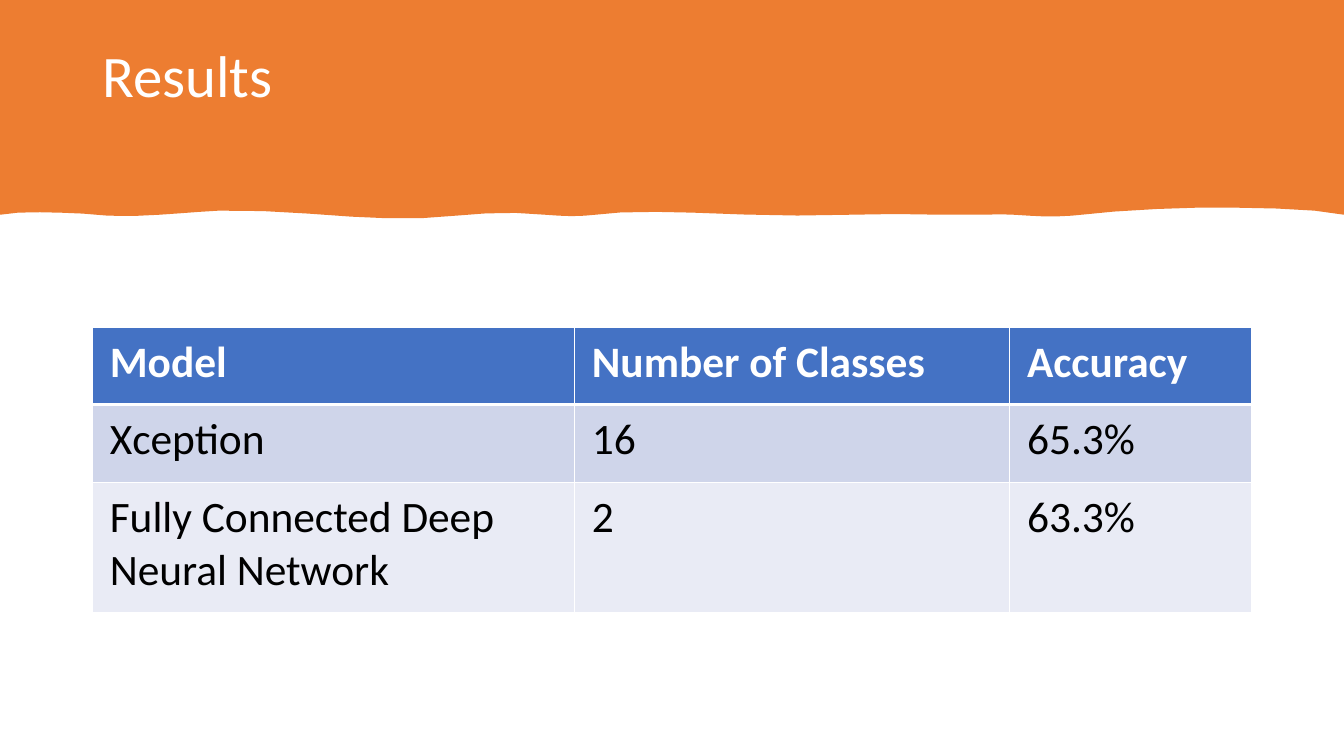
"""Build the Results slide with a wavy header band and a table of model accuracy."""
from lxml import etree
from pptx import Presentation
from pptx.dml.color import RGBColor
from pptx.enum.text import MSO_ANCHOR
from pptx.oxml.ns import qn
from pptx.util import Pt

TOP = MSO_ANCHOR.TOP
FONT = "Calibri"
WHITE, BLACK, ORANGE, BLUE = "FFFFFF", "000000", "ED7D31", "4472C4"
BAND_FILLS = ["CFD5EA", "E9EBF5"]
CURVE_STEPS = 3
UNITS_PER_POINT = 100


def color(value):
    return RGBColor.from_string(value)


def add_border(cell, side, width):
    line = etree.SubElement(cell._tc.get_or_add_tcPr(), qn(f"a:ln{side}"), w=str(Pt(width)))
    fill = etree.SubElement(line, qn("a:solidFill"))
    etree.SubElement(fill, qn("a:srgbClr"), val=WHITE)


presentation = Presentation()
presentation.slide_width = Pt(960)
presentation.slide_height = Pt(540)
slide = presentation.slides.add_slide(presentation.slide_layouts[6])

wave_start = (939, 150.5)
wave_curves = [
    [(911.5, 148.3), (884.2, 148.3), (856.8, 148.3)],
    [(826.6, 149), (795.6, 150.5), (765.4, 154.1)],
    [(755.3, 154.8), (745.2, 154.8), (735.1, 154.1)],
    [(725, 153.4), (714.2, 152.6), (703.4, 153.4)],
    [(671.8, 154.1), (639.4, 151.9), (607, 153.4)],
    [(569.5, 154.8), (532.1, 153.4), (494.6, 151.9)],
    [(468.7, 151.2), (443.5, 150.5), (417.6, 154.1)],
    [(408.2, 154.8), (398.9, 154.1), (389.5, 153.4)],
    [(368.6, 151.2), (347, 151.9), (325.4, 154.1)],
    [(301, 157), (276.5, 156.2), (251.3, 154.8)],
    [(219.6, 152.6), (187.9, 149.8), (156.2, 150.5)],
    [(141.8, 151.2), (127.4, 152.6), (113.8, 153.4)],
    [(95.8, 154.8), (77, 154.8), (59, 152.6)],
    [(43.9, 151.9), (28.8, 151.2), (13, 151.9)],
]
outline = [(960, 0), (960, 153.4), wave_start]
for first_control, second_control, end in wave_curves:
    controls = [outline[-1], first_control, second_control, end]
    for step in range(1, CURVE_STEPS + 1):
        t = step / CURVE_STEPS
        weights = [(1 - t) ** 3, 3 * t * (1 - t) ** 2, 3 * t ** 2 * (1 - t), t ** 3]
        outline.append(tuple(
            sum(weight * point[axis] for weight, point in zip(weights, controls))
            for axis in (0, 1)
        ))
outline.append((0, 153.4))

builder = slide.shapes.build_freeform(0, 0, scale=Pt(1) / UNITS_PER_POINT)
builder.add_line_segments([(x * UNITS_PER_POINT, y * UNITS_PER_POINT) for x, y in outline])
header_band = builder.convert_to_shape()
header_band.shadow.inherit = False
header_band.fill.solid()
header_band.fill.fore_color.rgb = color(ORANGE)
header_band.line.fill.background()

title = slide.shapes.add_textbox(Pt(66), Pt(28.8), Pt(828), Pt(104.4))
title.text_frame.word_wrap = True
title.text_frame.vertical_anchor = TOP
title.text_frame.margin_top = Pt(4.6)
paragraph = title.text_frame.paragraphs[0]
paragraph.text = "Results"
paragraph.line_spacing = 0.9
paragraph.font.name = FONT
paragraph.font.size = Pt(42)
paragraph.font.color.rgb = color(WHITE)

results = [
    ["Model", "Number of Classes", "Accuracy"],
    ["Xception", "16", "65.3%"],
    ["Fully Connected Deep Neural Network", "2", "63.3%"],
]
column_widths = [344.4, 310.8, 172.8]
row_heights = [55.4, 55.4, 93]
table = slide.shapes.add_table(
    len(results), len(column_widths), Pt(66), Pt(233.6),
    Pt(sum(column_widths)), Pt(sum(row_heights)),
).table
for column, width in zip(table.columns, column_widths):
    column.width = Pt(width)
for row, height in zip(table.rows, row_heights):
    row.height = Pt(height)

for row_index, texts in enumerate(results):
    is_header = row_index == 0
    for column_index, text in enumerate(texts):
        cell = table.cell(row_index, column_index)
        cell.margin_left = cell.margin_right = Pt(12.5)
        cell.margin_top = cell.margin_bottom = Pt(6.3)
        for side in ("L", "R"):
            add_border(cell, side, 1)
        add_border(cell, "T", 3 if row_index == 1 else 1)
        add_border(cell, "B", 3 if is_header else 1)
        cell.fill.solid()
        cell.fill.fore_color.rgb = color(BLUE if is_header else BAND_FILLS[row_index - 1])
        paragraph = cell.text_frame.paragraphs[0]
        paragraph.text = text
        paragraph.font.name = FONT
        paragraph.font.size = Pt(31)
        paragraph.font.bold = is_header
        paragraph.font.color.rgb = color(WHITE if is_header else BLACK)

presentation.save("out.pptx")
